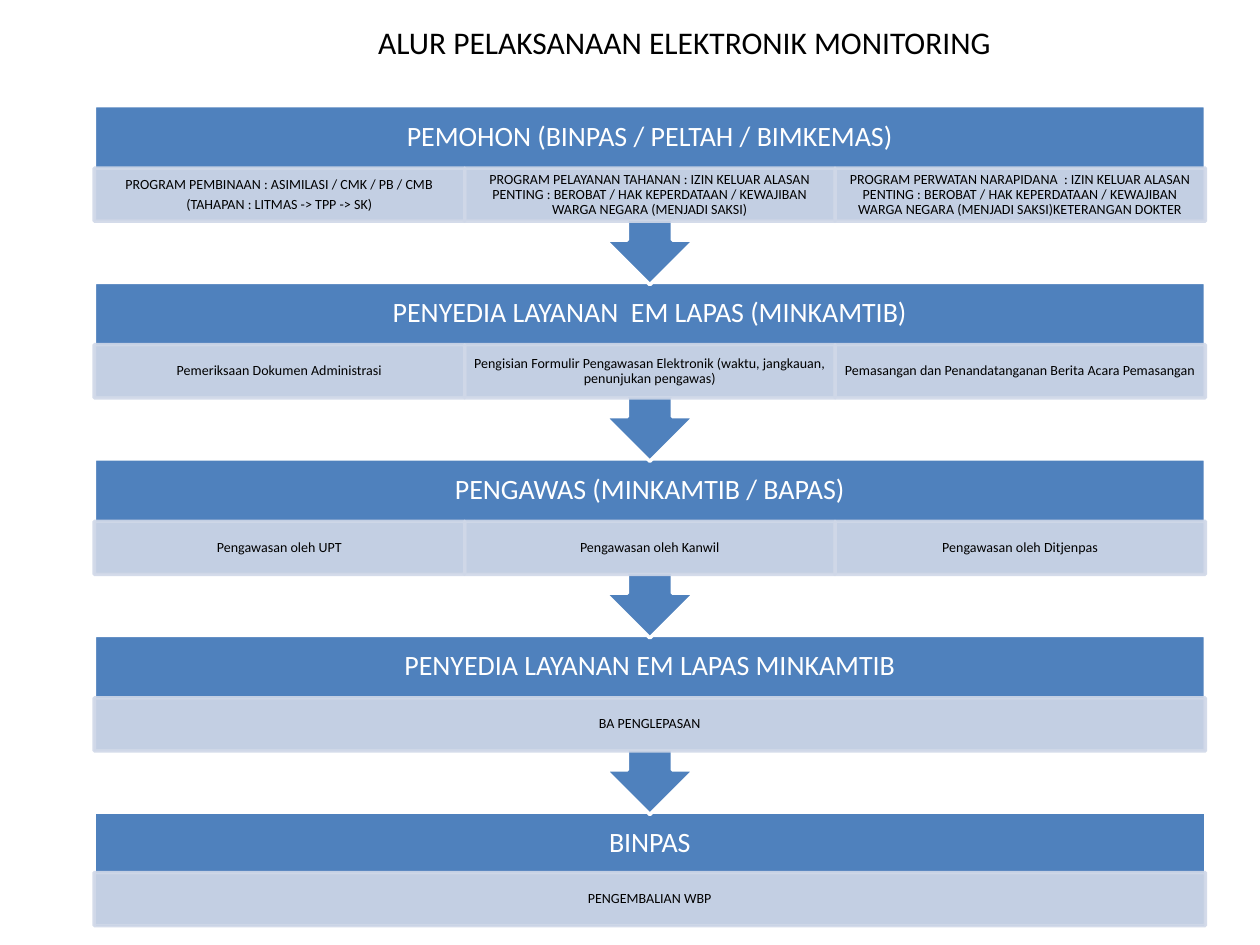
import pptx
import pptx.util
import pptx.dml.color
import pptx.enum.shapes
import pptx.enum.text
import pptx.oxml.ns
import lxml.etree

Cm = pptx.util.Cm
Pt = pptx.util.Pt
Kind = pptx.enum.shapes.MSO_SHAPE

LEFT, WIDTH = 1.9, 22.4
TOP, PITCH = 2.13, 3.56
BLUE, PALE, WHITE, BLACK = "4F81BD", "D0D8E8", "FFFFFF", "000000"

STEPS = [
    ("PEMOHON (BINPAS / PELTAH / BIMKEMAS)", [
        "PROGRAM PEMBINAAN : ASIMILASI / CMK / PB / CMB\n"
        "(TAHAPAN : LITMAS -> TPP -> SK)",
        "PROGRAM PELAYANAN TAHANAN : IZIN KELUAR ALASAN PENTING : BEROBAT / "
        "HAK KEPERDATAAN / KEWAJIBAN WARGA NEGARA (MENJADI SAKSI)",
        "PROGRAM PERWATAN NARAPIDANA  : IZIN KELUAR ALASAN PENTING : BEROBAT / "
        "HAK KEPERDATAAN / KEWAJIBAN WARGA NEGARA (MENJADI SAKSI)KETERANGAN DOKTER",
    ]),
    ("PENYEDIA LAYANAN  EM LAPAS (MINKAMTIB)", [
        "Pemeriksaan Dokumen Administrasi",
        "Pengisian Formulir Pengawasan Elektronik "
        "(waktu, jangkauan, penunjukan pengawas)",
        "Pemasangan dan Penandatanganan Berita Acara Pemasangan",
    ]),
    ("PENGAWAS (MINKAMTIB / BAPAS)", [
        "Pengawasan oleh UPT",
        "Pengawasan oleh Kanwil",
        "Pengawasan oleh Ditjenpas",
    ]),
    ("PENYEDIA LAYANAN EM LAPAS MINKAMTIB", ["BA PENGLEPASAN"]),
    ("BINPAS", ["PENGEMBALIAN WBP"]),
]


def color(code):
    return pptx.dml.color.RGBColor.from_string(code)


def fade(shape, share):
    ns = pptx.oxml.ns.qn
    for node in shape._element.spPr.iter(ns("a:srgbClr")):
        alpha = lxml.etree.SubElement(node, ns("a:alpha"))
        alpha.set("val", str(share * 1000))


def write(shape, text, size, ink, pad=None, line=None, after=0):
    frame = shape.text_frame
    frame.text = text
    frame.word_wrap = True
    if pad:
        frame.vertical_anchor = pptx.enum.text.MSO_ANCHOR.MIDDLE
        frame.margin_left = frame.margin_right = Cm(pad[0])
        frame.margin_top = frame.margin_bottom = Cm(pad[1])
    for para in frame.paragraphs:
        para.alignment = pptx.enum.text.PP_ALIGN.CENTER
        para.line_spacing = line
        para.space_after = Pt(after)
        for run in para.runs:
            run.font.name = "Calibri"
            run.font.size = Pt(size)
            run.font.color.rgb = color(ink)


def add_box(slide, kind, x, y, w, h, fill, edge):
    box = slide.shapes.add_shape(kind, Cm(x), Cm(y), Cm(w), Cm(h))
    box.shadow.inherit = False
    box.fill.solid()
    box.fill.fore_color.rgb = color(fill)
    box.line.color.rgb = color(edge)
    box.line.width = Pt(2)
    return box


def add_label(slide, x, y, w, h, text, size, ink, **look):
    label = slide.shapes.add_textbox(Cm(x), Cm(y), Cm(w), Cm(h))
    write(label, text, size, ink, **look)


def add_cell(slide, x, y, w, text):
    cell = add_box(slide, Kind.RECTANGLE, x, y, w, 1.07, PALE, PALE)
    fade(cell, 90)
    write(cell, text, 8, BLACK, pad=(0.15, 0.03), line=0.9, after=2.8)


def add_step(slide, y, head, cells, last):
    if last:
        add_box(slide, Kind.RECTANGLE, LEFT, y, WIDTH, 2.34, BLUE, WHITE)
    else:
        band = add_box(slide, Kind.UP_ARROW_CALLOUT, LEFT, y, WIDTH, 3.61, BLUE, WHITE)
        band.rotation = 180
    add_label(slide, LEFT, y, WIDTH, 1.27, head, 16, WHITE,
              pad=(0.3, 0.3), line=0.9, after=5.6)
    wide = WIDTH / len(cells)
    drop = 1.22 if last else 1.26
    for col, text in enumerate(cells):
        add_cell(slide, LEFT + col * wide, y + drop, wide, text)


def main():
    deck = pptx.Presentation()
    deck.slide_width, deck.slide_height = Cm(25.4), Cm(19.05)
    slide = deck.slides.add_slide(deck.slide_layouts[6])
    end = len(STEPS) - 1
    for row in range(end, -1, -1):
        head, cells = STEPS[row]
        add_step(slide, TOP + row * PITCH, head, cells, row == end)
    add_label(slide, 5.1, 0.33, 17.4, 1.02,
              "ALUR PELAKSANAAN ELEKTRONIK MONITORING", 18, BLACK)
    deck.save("out.pptx")


main()
